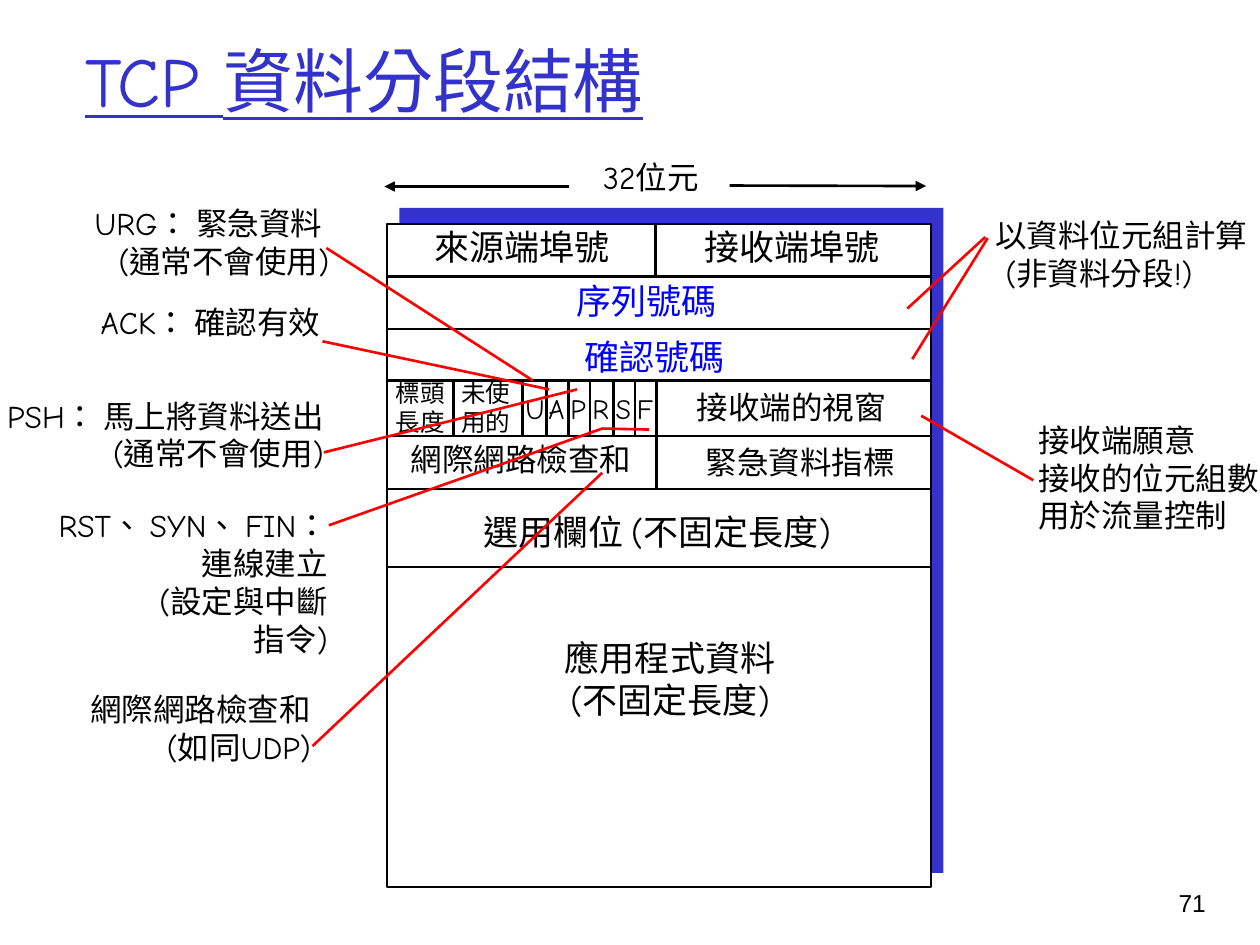
from itertools import pairwise

from lxml.etree import SubElement
from pptx import Presentation
from pptx.dml.color import RGBColor as RGB
from pptx.enum.shapes import MSO_CONNECTOR as CONN, MSO_SHAPE as SHAPE
from pptx.enum.text import MSO_ANCHOR as ANCHOR, MSO_AUTO_SIZE as AUTO, PP_ALIGN as AL
from pptx.oxml.ns import qn
from pptx.util import Cm, Pt

THEME = {
    "font": "Comic Neue", "number_font": "Arial", "language": "zh-TW",
    "ink": RGB(0, 0, 0), "paper": RGB(255, 255, 255),
    "title": RGB(0x33, 0x33, 0xCC), "key": RGB(0, 0, 255), "callout": RGB(255, 0, 0),
    "title_size": 40, "field": 20, "label": 18, "flag": 16, "small": 14, "line": 1.5,
}

# Content: all lengths in cm
TITLE = "TCP 資料分段結構"
PAGE = "71"
FRAME = (7.8, 4.52, 10.97, 13.36)
SHADOW = (8.05, 4.19, 10.97, 13.41)
ROWS = [5.58, 6.63, 7.67, 8.79, 9.86, 11.43]
HALVES = [(13.21, FRAME[1], ROWS[0]), (13.24, ROWS[2], ROWS[4])]
FLAGS = "UAPRSF"
FLAG_EDGES = [10.54, 11.02, 11.46, 11.89, 12.37, 12.8, 13.24]
HEADER_EDGE = 9.14
FLAG_WIDTH, FLAG_TOP = 0.84, 7.77

# Fields: lines, left, top, width, size, colour
FIELDS = [
    (["來源端埠號"], 8.51, 4.42, 4.04, "field", "ink"),
    (["接收端埠號"], 13.94, 4.42, 4.04, "field", "ink"),
    (["32位元"], 11.62, 3.07, 3, "label", "ink"),
    (["應用程式資料", "(不固定長度)"], 11.07, 12.7, 4.88, "field", "ink"),
    (["序列號碼"], 9.58, 5.51, 6.91, "field", "key"),
    (["確認號碼"], 8.46, 6.63, 9.47, "field", "key"),
    (["接收端的視窗"], 13.79, 7.7, 4.32, "label", "ink"),
    (["緊急資料指標"], 13.97, 8.81, 4.32, "label", "ink"),
    (["網際網路檢查和"], 8.03, 8.74, 4.95, "label", "ink"),
    (["標頭", "長度"], 7.72, 7.49, 1.5, "small", "ink"),
    (["未使", "用的"], 9.04, 7.49, 1.5, "small", "ink"),
    (["選用欄位 (不固定長度)"], 9.22, 10.16, 8.05, "field", "ink"),
]
# Notes: lines, left, top, width
LEFT_NOTES = [
    (["URG： 緊急資料 ", "(通常不會使用)"], 1.45, 3.99, 5.44),
    (["ACK： 確認有效"], 1.6, 5.99, 5.11),
    (["PSH： 馬上將資料送出", "(通常不會使用)"], -0.28, 7.87, 7.06),
    (["RST、 SYN、 FIN：", "連線建立", "(設定與中斷", "指令)"], 0.13, 10.08, 6.73),
    (["網際網路檢查和", "(如同UDP)"], 1.57, 13.79, 4.95),
]
RIGHT_NOTES = [
    (["接收端願意", "接收的位元組數", "用於流量控制"], 20.68, 8.36, 4.95),
    (["以資料位元組計算", " (非資料分段!)"], 19.81, 4.24, 5.59),
]
WIDTH_ARROWS = [(14.71, 3.74, 18.67, 3.75), (11.48, 3.76, 7.75, 3.76)]
CALLOUTS = [
    (6.58, 5, 10.74, 7.67),
    (6.5, 6.88, 11.07, 7.85),
    (6.53, 9.12, 11.63, 7.85),
    (6.3, 15.04, 12.14, 9.53),
    (20.83, 9.68, 18.57, 8.38),
    (19.91, 4.8, 18.39, 7.24),
    (19.86, 4.78, 18.29, 6.22),
]
FLAG_CALLOUT = [(6.63, 10.59), (12.14, 8.64), (13.08, 8.66)]

prs = Presentation()
prs.slide_width, prs.slide_height = Cm(25.4), Cm(19.05)
s = prs.slides.add_slide(prs.slide_layouts[6])


def add_text(lines, left, top, width, size, color="ink", align=AL.CENTER,
             height=None, font="font", underline=None):
    """Add a text box; without a height it fits its lines."""
    pt = THEME[size]
    fitted = 0.25 + len(lines) * pt * 1.2 * 2.54 / 72
    sp = s.shapes.add_textbox(Cm(left), Cm(top), Cm(width), Cm(height or fitted))
    tf = sp.text_frame
    tf.text = "\n".join(lines)
    tf.word_wrap = height is not None
    tf.auto_size = AUTO.NONE if height else AUTO.SHAPE_TO_FIT_TEXT
    for p in tf.paragraphs:
        p.alignment = align
        for r in p.runs:
            r.font.name, r.font.size = THEME[font], Pt(pt)
            r.font.color.rgb, r.font.underline = THEME[color], underline
            r._r.get_or_add_rPr().set("lang", THEME["language"])
    return tf


def add_line(x1, y1, x2, y2, color="ink", arrow=False):
    c = s.shapes.add_connector(CONN.STRAIGHT, Cm(x1), Cm(y1), Cm(x2), Cm(y2))
    c.line.color.rgb, c.line.width = THEME[color], Pt(THEME["line"])
    if arrow:
        SubElement(c.line._get_or_add_ln(), qn("a:tailEnd"), type="triangle")
    SubElement(c._element.spPr, qn("a:effectLst"))


def add_rect(box, fill, line=None):
    sp = s.shapes.add_shape(SHAPE.RECTANGLE, *map(Cm, box))
    sp.shadow.inherit = False
    sp.fill.solid()
    sp.fill.fore_color.rgb = THEME[fill]
    if line:
        sp.line.color.rgb, sp.line.width = THEME[line], Pt(THEME["line"])
    else:
        sp.line.fill.background()


# Title
tf = add_text([TITLE], 1.47, 0.53, 21.59, "title_size", "title", AL.LEFT, 2.16, underline=True)
tf.vertical_anchor = ANCHOR.MIDDLE

# Segment frame and its dividers
add_rect(SHADOW, "title")
add_rect(FRAME, "paper", "ink")
for y in ROWS:
    add_line(FRAME[0], y, FRAME[0] + FRAME[2], y)
for x, top, bottom in HALVES:
    add_line(x, top, x, bottom)
for x in [HEADER_EDGE] + FLAG_EDGES[:-1]:
    add_line(x, ROWS[2], x, ROWS[3])
for arrow in WIDTH_ARROWS:
    add_line(*arrow, arrow=True)

# Field names, with each flag centred in its cell
for field in FIELDS:
    add_text(*field)
for flag, (x1, x2) in zip(FLAGS, pairwise(FLAG_EDGES)):
    add_text([flag], (x1 + x2 - FLAG_WIDTH) / 2 - 0.02, FLAG_TOP, FLAG_WIDTH, "flag")

# Notes on both sides
for notes, align in ((LEFT_NOTES, AL.RIGHT), (RIGHT_NOTES, AL.LEFT)):
    for note in notes:
        add_text(*note, "label", align=align)

# Callout lines
for callout in CALLOUTS:
    add_line(*callout, color="callout")
start, *rest = [(Cm(x), Cm(y)) for x, y in FLAG_CALLOUT]
fb = s.shapes.build_freeform(*start)
fb.add_line_segments(rest, close=False)
sp = fb.convert_to_shape()
sp.shadow.inherit = False
sp.fill.background()
sp.line.color.rgb, sp.line.width = THEME["callout"], Pt(THEME["line"])

# Page number
add_text([PAGE], 22.68, 17.78, 1.88, "small", align=AL.RIGHT, height=1.27, font="number_font")

prs.save("out.pptx")
